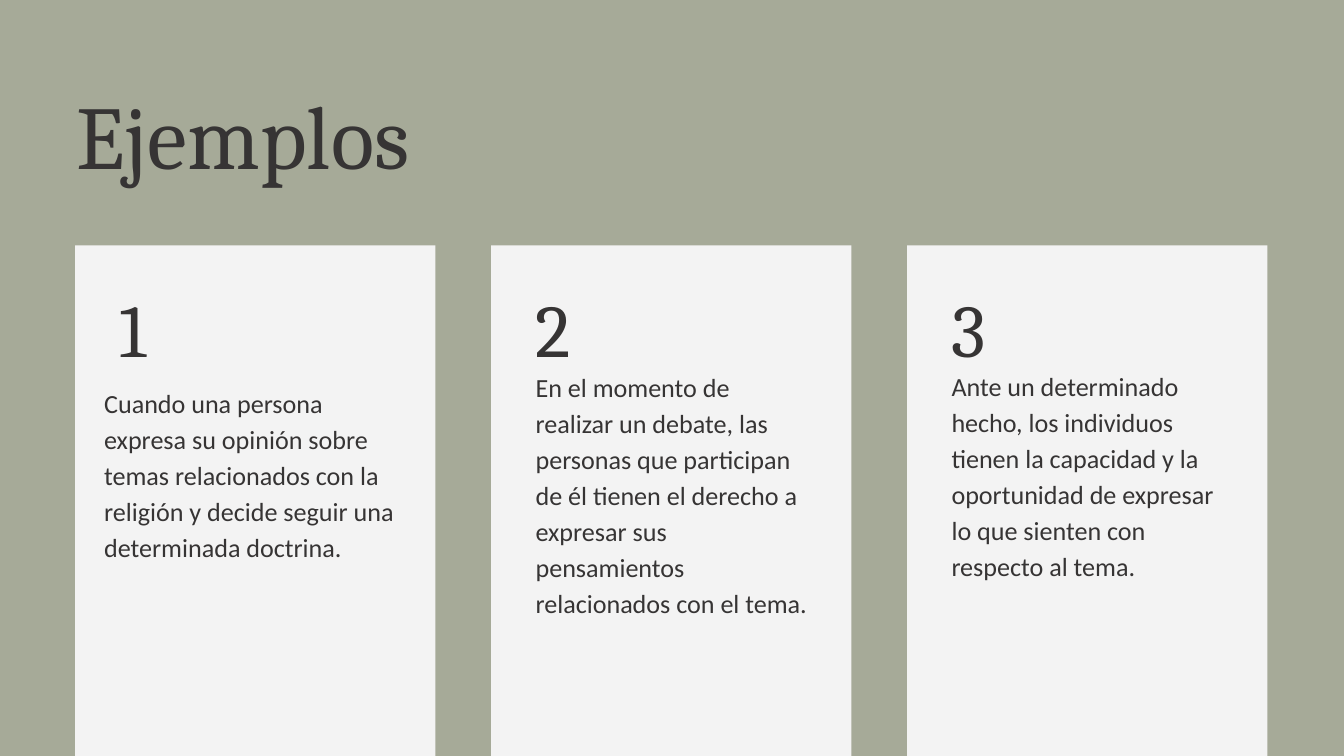
from pptx import Presentation
from pptx.dml.color import RGBColor
from pptx.enum.shapes import MSO_SHAPE as Shape
from pptx.util import Inches, Pt

SAGE = RGBColor(0xA6, 0xAA, 0x98)
PALE = RGBColor(0xF3, 0xF3, 0xF3)
DARK = RGBColor(0x36, 0x34, 0x34)

LEFT, STEP = 1.12, 6.19
CARDS = [
    ("Cuando una persona expresa su opinión sobre temas relacionados con la "
     "religión y decide seguir una determinada doctrina.",
     (1.55, 5.69, 4.51, 3.1)),
    ("En el momento de realizar un debate, las personas que participan de él "
     "tienen el derecho a expresar sus pensamientos relacionados con el tema.",
     (7.97, 5.45, 4.06, 4.69)),
    ("Ante un determinado hecho, los individuos tienen la capacidad y la "
     "oportunidad de expresar lo que sienten con respecto al tema.",
     (14.16, 5.44, 4.06, 3.7)),
]


def add_panel(slide, left):
    panel = slide.shapes.add_shape(
        Shape.RECTANGLE, Inches(left), Inches(3.65), Inches(5.36), Inches(7.6))
    panel.shadow.inherit = False
    panel.fill.solid()
    panel.fill.fore_color.rgb = PALE
    panel.line.fill.background()


def add_text(slide, text, box, font, size, pitch):
    frame = slide.shapes.add_textbox(*map(Inches, box)).text_frame
    frame.word_wrap = True
    frame.margin_left = frame.margin_right = 0
    frame.margin_top = frame.margin_bottom = 0
    line = frame.paragraphs[0]
    line.text = text
    line.line_spacing = Pt(pitch)
    line.font.name = font
    line.font.size = Pt(size)
    line.font.color.rgb = DARK


def add_card(slide, index, text, box):
    left = LEFT + index * STEP
    add_panel(slide, left)
    add_text(slide, str(index + 1), (left + 0.66, 3.66, 4.06, 1.76),
             "Cambria", 80, 136)
    add_text(slide, text, box, "Calibri", 28, 38.6)


def main():
    deck = Presentation()
    deck.slide_width = Inches(20)
    deck.slide_height = Inches(11.25)
    slide = deck.slides.add_slide(deck.slide_layouts[6])
    slide.background.fill.solid()
    slide.background.fill.fore_color.rgb = SAGE
    add_text(slide, "Ejemplos", (1.14, 0.93, 17.74, 1.8), "Cambria", 96, 134.4)
    for index, (text, box) in enumerate(CARDS):
        add_card(slide, index, text, box)
    deck.save("out.pptx")


if __name__ == "__main__":
    main()
